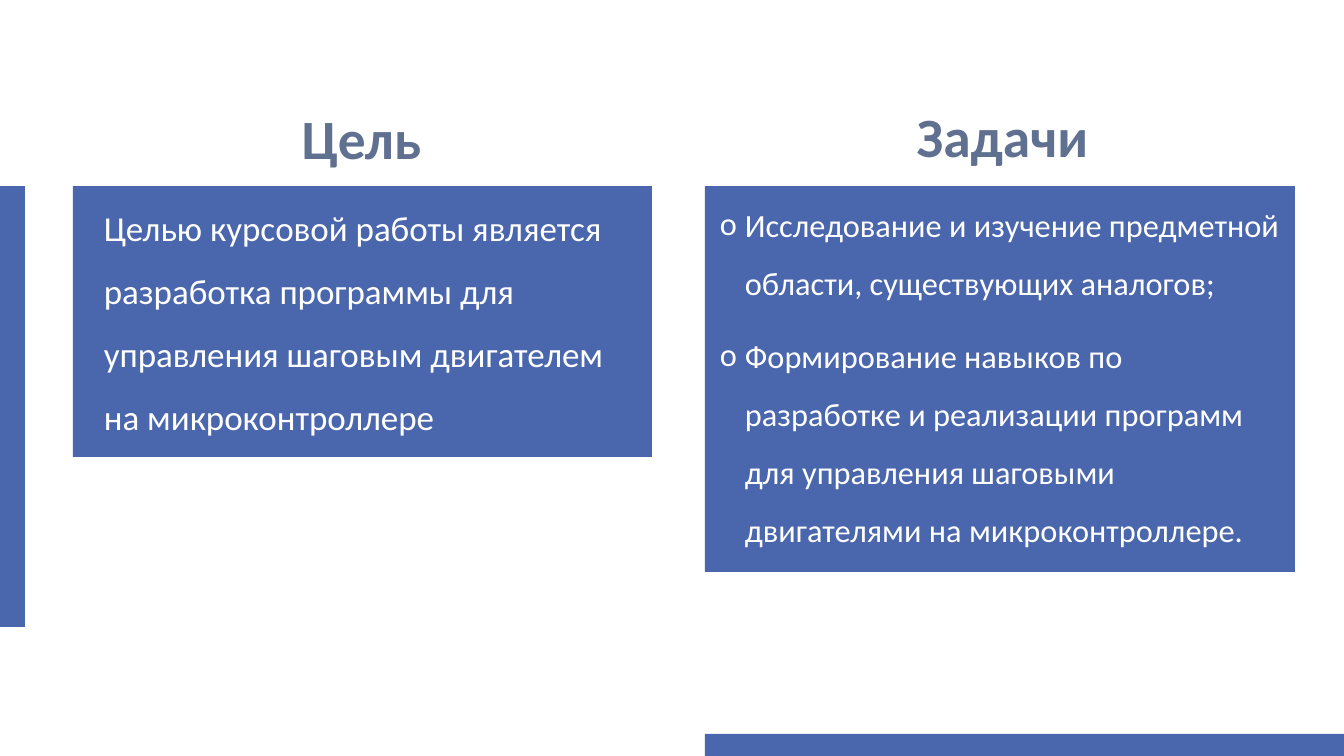
from pptx import Presentation
from pptx.dml.color import RGBColor as Rgb
from pptx.enum.shapes import MSO_SHAPE as Kind
from pptx.enum.text import MSO_ANCHOR as Anchor, PP_ALIGN as Align
from pptx.oxml.ns import qn
from pptx.util import Pt
from lxml.etree import SubElement

UNIT = 914400 / 100.8
WIDE, HIGH = 1344, 756
FONT = "Calibri"
COLORS = {"blue": "4A66AC", "slate": "607090", "white": "FFFFFF"}

# Boxes are left, top, width, height in pixels.
PANELS = [(705, 186, 590, 386), (73, 186, 579, 271)]
STRIPS = [(0, 186, 25, 441), (705, 734, 639, 22)]
HEADS = [("Цель", (125, 110, 473, 67)), ("Задачи", (766, 108, 473, 67))]
GOAL = ["Целью курсовой работы является разработка программы для "
        "управления шаговым двигателем на микроконтроллере"]
TASKS = ["Исследование и изучение предметной области, существующих аналогов;",
         "Формирование навыков по разработке и реализации программ для "
         "управления шаговыми двигателями на микроконтроллере."]
BODIES = [(GOAL, (94, 181, 557, 340), 25, None),
          (TASKS, (710, 181, 586, 431), 23.1, "o")]
INDENT = 25


def px(num):
    """Turn pixels into EMU."""
    return round(num * UNIT)


def place(box):
    """Turn a pixel box into EMU."""
    return [px(num) for num in box]


def add_bar(slide, box):
    """Draw one plain blue rectangle."""
    bar = slide.shapes.add_shape(Kind.RECTANGLE, *place(box))
    bar.shadow.inherit = False
    bar.fill.solid()
    bar.fill.fore_color.rgb = Rgb.from_string(COLORS["blue"])
    bar.line.fill.background()


def add_mark(para, mark):
    """Give a paragraph a bullet with a hanging indent."""
    props = para._p.get_or_add_pPr()
    props.set("marL", str(px(INDENT)))
    props.set("indent", str(px(-INDENT)))
    SubElement(props, qn("a:buFont")).set("typeface", FONT)
    SubElement(props, qn("a:buChar")).set("char", mark)


def add_text(slide, lines, box, size, color, space, bold=False):
    """Add a wrapped text box and return its frame."""
    frame = slide.shapes.add_textbox(*place(box)).text_frame
    frame.word_wrap = True
    frame.text = "\n".join(lines)
    for para in frame.paragraphs:
        para.line_spacing = space
        for run in para.runs:
            font = run.font
            font.name, font.size, font.bold = FONT, Pt(size), bold
            font.color.rgb = Rgb.from_string(COLORS[color])
    return frame


def add_head(slide, text, box):
    """Add a centred heading."""
    frame = add_text(slide, [text], box, 39.6, "slate", 0.8, True)
    frame.vertical_anchor = Anchor.MIDDLE
    frame.paragraphs[0].alignment = Align.CENTER


def add_body(slide, lines, box, size, mark):
    """Add body text, with bullets when a mark is given."""
    frame = add_text(slide, lines, box, size, "white", 1.5)
    for para in frame.paragraphs:
        para.space_before = Pt(10)
        if mark:
            add_mark(para, mark)


deck = Presentation()
deck.slide_width, deck.slide_height = px(WIDE), px(HIGH)
slide = deck.slides.add_slide(deck.slide_layouts[6])
for box in PANELS + STRIPS:
    add_bar(slide, box)
for head in HEADS:
    add_head(slide, *head)
for body in BODIES:
    add_body(slide, *body)
deck.save("out.pptx")
